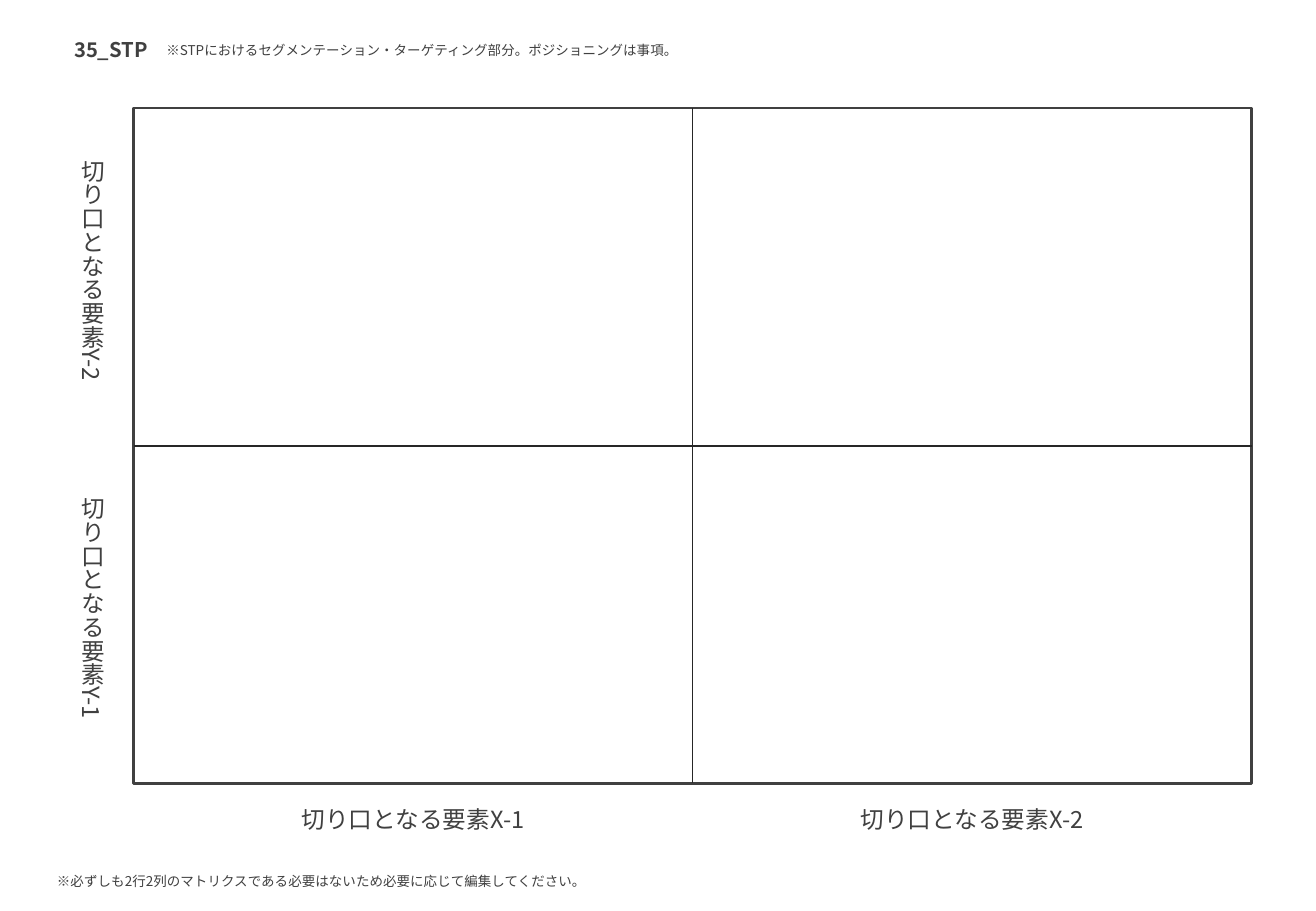
from lxml.etree import SubElement
from pptx import Presentation
from pptx.dml.color import RGBColor
from pptx.enum.shapes import MSO_CONNECTOR as Connector, MSO_SHAPE as Shape
from pptx.enum.text import MSO_ANCHOR as Anchor, MSO_AUTO_SIZE as AutoSize, PP_ALIGN as Align
from pptx.oxml.ns import qn
from pptx.util import Inches, Pt

COLORS = {"ink": "404040", "divider": "262626"}
FONT = "Noto Sans CJK JP"
SLIDE_W, SLIDE_H = 10.83, 7.5
GRID_LEFT, GRID_TOP = 1.1, 0.89
COL_W, ROW_H = 4.6, 2.78
COLS = ROWS = 2
TOP, LEFT, BOTTOM, RIGHT = range(4)


def place(item, left, top, width, height):
    item.left, item.top = Inches(left), Inches(top)
    item.width, item.height = Inches(width), Inches(height)


def write(item, words, size, align=Align.LEFT, anchor=Anchor.TOP, bold=False, wrap=False):
    frame = item.text_frame
    frame.text = words
    frame.word_wrap = wrap
    frame.auto_size = AutoSize.SHAPE_TO_FIT_TEXT
    frame.vertical_anchor = anchor
    paragraph = frame.paragraphs[0]
    paragraph.alignment = align
    for run in paragraph.runs:
        font = run.font
        font.size, font.bold, font.name = Pt(size), bold, FONT
        font.color.rgb = RGBColor.from_string(COLORS["ink"])
        SubElement(font._element, qn("a:ea"), typeface=FONT)


def add_text(slide, box, words, size, **style):
    label = slide.shapes.add_textbox(0, 0, 0, 0)
    write(label, words, size, **style)
    place(label, *box)
    return label


def add_title(slide, words):
    title = slide.shapes.title
    write(title, words, 12, bold=True)
    place(title, 0.51, 0.26, 0.88, 0.3)


def add_note(slide, left, top, words):
    add_text(slide, (left, top, 5.68, 0.24), words, 8, wrap=True)


def add_column_label(slide, col, words):
    center = GRID_LEFT + (col + 0.5) * COL_W
    box = (center - 2.11 / 2, 6.58, 2.11, 0.34)
    add_text(slide, box, words, 14, align=Align.CENTER)


def add_row_label(slide, row, words):
    middle = GRID_TOP + (row + 0.5) * ROW_H
    box = (0.51, middle - 2.13 / 2, 0.5, 2.13)
    label = add_text(slide, box, words, 14, align=Align.CENTER, anchor=Anchor.MIDDLE)
    label.text_frame._txBody.bodyPr.set("vert", "eaVert")


def add_matrix(slide):
    matrix = slide.shapes.add_shape(Shape.RECTANGLE, 0, 0, 0, 0)
    place(matrix, GRID_LEFT, GRID_TOP, COLS * COL_W, ROWS * ROW_H)
    matrix.shadow.inherit = False
    matrix.fill.background()
    matrix.line.color.rgb = RGBColor.from_string(COLORS["ink"])
    matrix.line.width = Pt(1.5)
    return matrix


def add_divider(slide, matrix, start, end):
    divider = slide.shapes.add_connector(Connector.STRAIGHT, 0, 0, 0, 0)
    divider.begin_connect(matrix, start)
    divider.end_connect(matrix, end)
    divider.line.color.rgb = RGBColor.from_string(COLORS["divider"])
    divider.line.width = Pt(1)
    SubElement(divider._element.spPr, qn("a:effectLst"))


def main():
    deck = Presentation()
    deck.slide_width, deck.slide_height = Inches(SLIDE_W), Inches(SLIDE_H)
    slide = deck.slides.add_slide(deck.slide_layouts[5])

    add_title(slide, "35_STP")
    add_note(slide, 1.27, 0.3, "※STPにおけるセグメンテーション・ターゲティング部分。ポジショニングは事項。")

    matrix = add_matrix(slide)
    add_divider(slide, matrix, LEFT, RIGHT)
    add_divider(slide, matrix, TOP, BOTTOM)
    for col in range(COLS):
        add_column_label(slide, col, f"切り口となる要素X-{col + 1}")
    for row in range(ROWS):
        add_row_label(slide, row, f"切り口となる要素Y-{ROWS - row}")

    add_note(slide, 0.37, 7.14, "※必ずしも2行2列のマトリクスである必要はないため必要に応じて編集してください。")
    deck.save("out.pptx")


if __name__ == "__main__":
    main()
